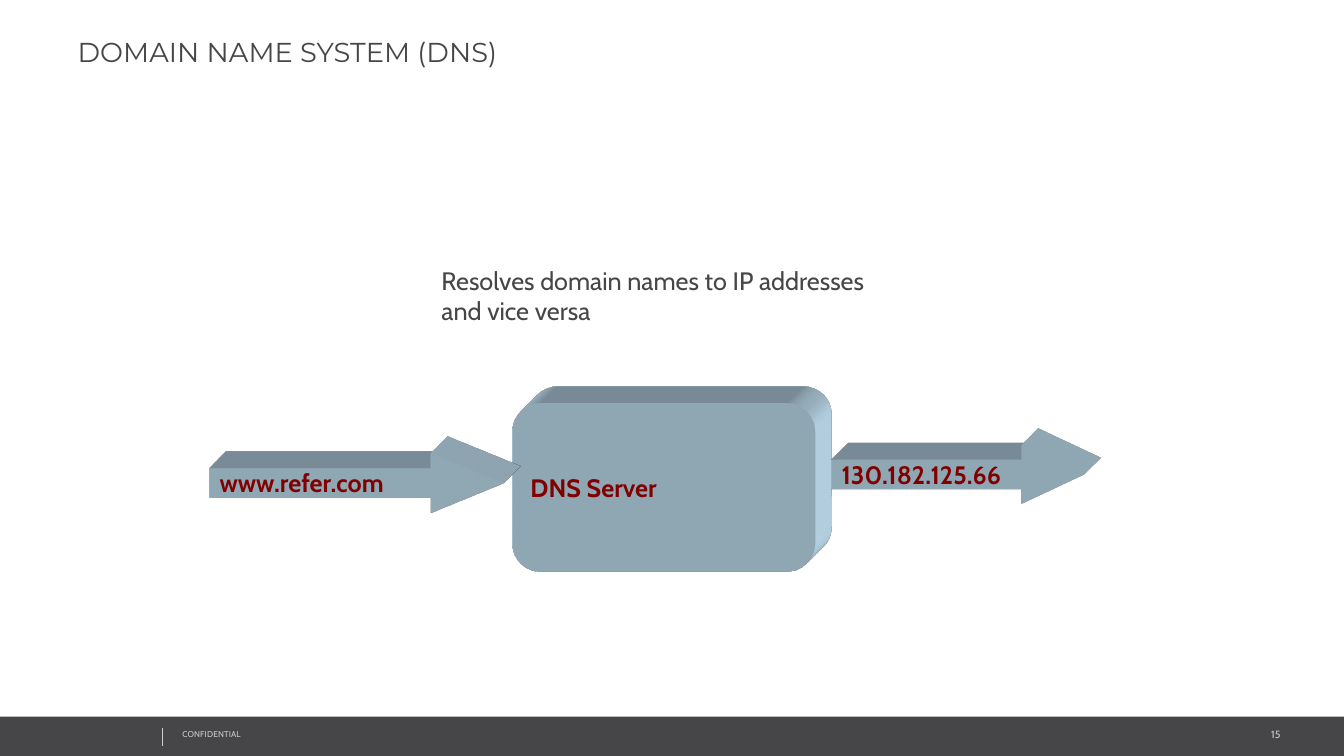
import dataclasses

import lxml.etree
import pptx
import pptx.dml.color
import pptx.enum.shapes
import pptx.enum.text
import pptx.oxml
import pptx.oxml.ns
import pptx.util

PX = 9144
SHAPE = pptx.enum.shapes.MSO_SHAPE
ALIGN = pptx.enum.text.PP_ALIGN
ANCHOR = pptx.enum.text.MSO_ANCHOR


@dataclasses.dataclass(frozen=True)
class Theme:
    ink: str = "464547"
    muted: str = "CCCCCC"
    block: str = "CCECFF"
    label: str = "800000"
    heading_font: str = "Montserrat"
    body_font: str = "Cabin"
    title_size: float = 19.5
    body_size: float = 18
    number_size: float = 7.5
    footer_size: float = 6


def rgb(value):
    return pptx.dml.color.RGBColor.from_string(value)


def emu(*lengths):
    return [pptx.util.Emu(length * PX) for length in lengths]


class SlideBuilder:
    def __init__(self, prs, theme):
        self.theme = theme
        self.s = prs.slides.add_slide(prs.slide_layouts[5])

    def set_text(self, sp, lines, size, color, font=None, bold=False,
                 align=ALIGN.LEFT, anchor=ANCHOR.TOP, wrap=True, spacing=None):
        tf = sp.text_frame
        frame = {"word_wrap": wrap, "vertical_anchor": anchor,
                 "auto_size": pptx.enum.text.MSO_AUTO_SIZE.NONE}
        for name, value in frame.items():
            setattr(tf, name, value)
        style = {"size": pptx.util.Pt(size), "bold": bold,
                 "name": font or self.theme.body_font}
        for i, line in enumerate(lines):
            p = tf.add_paragraph() if i else tf.paragraphs[0]
            p.alignment = align
            r = p.add_run()
            r.text = line
            for name, value in style.items():
                setattr(r.font, name, value)
            r.font.color.rgb = rgb(color)
            if spacing:
                r.font._element.set("spc", str(spacing))

    def title(self, box, text):
        sp = self.s.shapes.title
        for name, value in zip(("left", "top", "width", "height"), emu(*box)):
            setattr(sp, name, value)
        self.set_text(sp, [text], self.theme.title_size, self.theme.ink,
                      self.theme.heading_font)

    def text(self, box, lines, size, color, **style):
        sp = self.s.shapes.add_textbox(*emu(*box))
        self.set_text(sp, lines, size, color, **style)

    def shape(self, kind, box, fill, adjustments=()):
        sp = self.s.shapes.add_shape(kind, *emu(*box))
        sp.shadow.inherit = False
        sp.fill.solid()
        sp.fill.fore_color.rgb = rgb(fill)
        sp.line.fill.background()
        for i, value in enumerate(adjustments):
            sp.adjustments[i] = value
        return sp

    def block(self, kind, box, adjustments, label):
        sp = self.shape(kind, box, self.theme.block, adjustments)
        self.extrude(sp)
        self.set_text(sp, [label], self.theme.body_size, self.theme.label,
                      bold=True, anchor=ANCHOR.MIDDLE, wrap=False)

    def extrude(self, sp):
        ns = pptx.oxml.ns.nsdecls("a")
        scene = (f'<a:scene3d {ns}><a:camera prst="legacyObliqueTopRight"/>'
                 '<a:lightRig rig="legacyFlat3" dir="b"/></a:scene3d>')
        solid = (f'<a:sp3d {ns} extrusionH="430200" prstMaterial="legacyMatte">'
                 '<a:bevelT w="13500" h="13500" prst="angle"/>'
                 '<a:bevelB w="13500" h="13500" prst="angle"/>'
                 f'<a:extrusionClr><a:srgbClr val="{self.theme.block}"/>'
                 '</a:extrusionClr></a:sp3d>')
        for xml in (scene, solid):
            sp._element.spPr.append(pptx.oxml.parse_xml(xml))

    def line(self, start, end, color, width):
        cn = self.s.shapes.add_connector(
            pptx.enum.shapes.MSO_CONNECTOR.STRAIGHT, *emu(*start, *end))
        cn.line.color.rgb = rgb(color)
        cn.line.width = pptx.util.Pt(width)
        lxml.etree.SubElement(cn._element.spPr, pptx.oxml.ns.qn("a:effectLst"))


def main():
    prs = pptx.Presentation()
    prs.slide_width, prs.slide_height = emu(1333, 750)
    theme = Theme()
    b = SlideBuilder(prs, theme)

    b.shape(SHAPE.RECTANGLE, (0, 711, 1333, 39), theme.ink)
    b.text((1062, 717, 218, 23), ["15"], theme.number_size, theme.muted,
           align=ALIGN.RIGHT)
    b.text((171, 718, 338, 20), ["CONFIDENTIAL"], theme.footer_size,
           theme.muted, spacing=10)
    b.line((161, 722), (161, 740), theme.muted, 0.25)

    b.title((67, 30, 1200, 125), "DOMAIN NAME SYSTEM (DNS)")
    b.text((428, 258, 461, 70),
           ["Resolves domain names to IP addresses", "and vice versa"],
           theme.body_size, theme.ink, wrap=False)

    blocks = [
        (SHAPE.ROUNDED_RECTANGLE, (508, 400, 300, 167), (0.17,), "DNS Server"),
        (SHAPE.RIGHT_ARROW, (825, 442, 250, 58), (0.5, 1.07), "130.182.125.66"),
        (SHAPE.RIGHT_ARROW, (208, 450, 292, 58), (0.5, 1.25), "www.refer.com"),
    ]
    for block in blocks:
        b.block(*block)

    prs.save("out.pptx")


if __name__ == "__main__":
    main()
